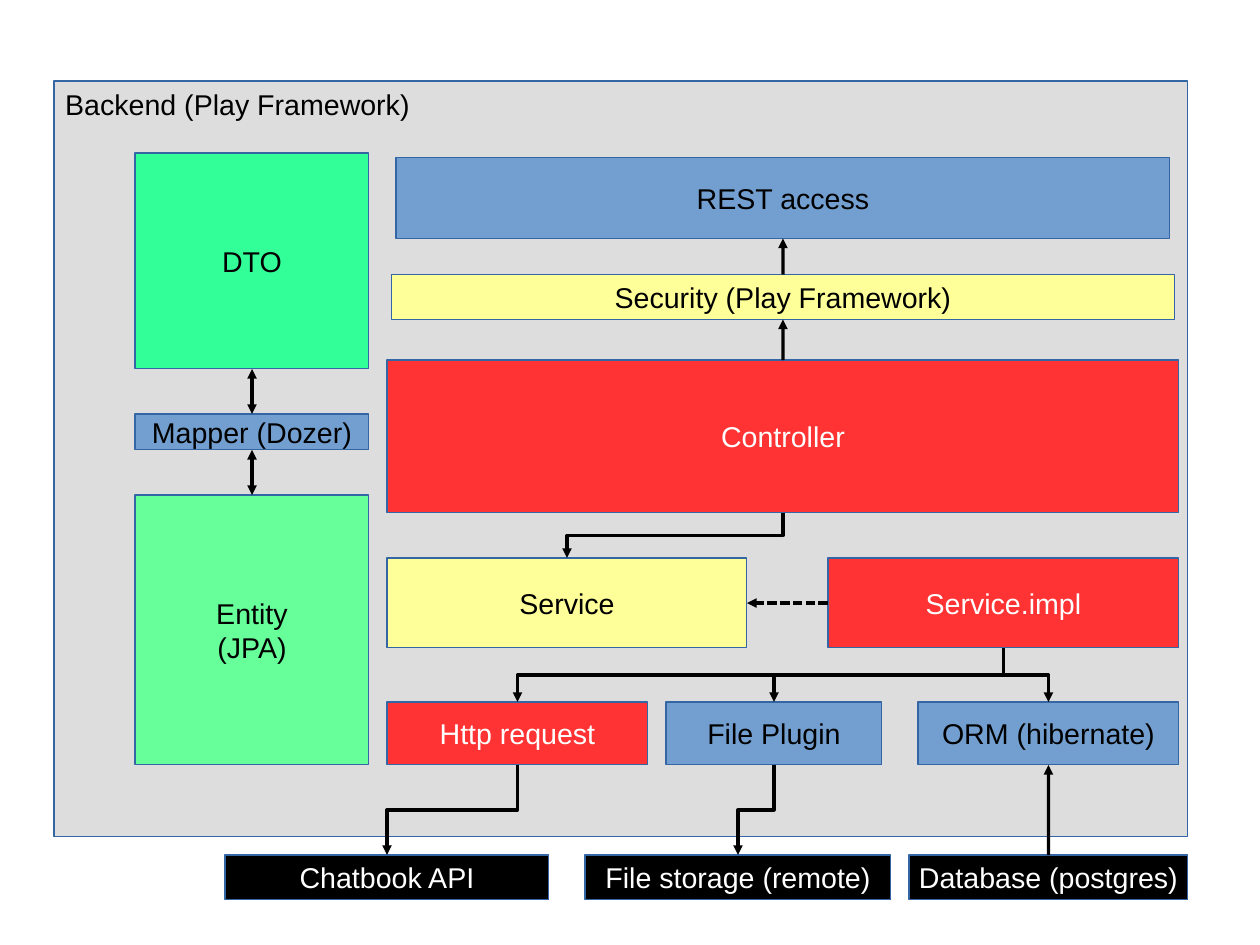
from dataclasses import dataclass

from lxml.etree import SubElement
from pptx import Presentation
from pptx.dml.color import RGBColor
from pptx.enum.dml import MSO_LINE
from pptx.enum.shapes import MSO_CONNECTOR, MSO_SHAPE
from pptx.enum.text import MSO_ANCHOR, PP_ALIGN
from pptx.oxml.ns import qn
from pptx.shapes.autoshape import Shape
from pptx.shapes.connector import Connector
from pptx.slide import Slide
from pptx.util import Cm, Pt

BLACK, WHITE, GRAY = "000000", "FFFFFF", "DDDDDD"
BLUE, RED, YELLOW = "729FCF", "FF3333", "FFFF99"
MINT, GREEN, BORDER = "33FF99", "66FF99", "3465A4"
TOP, LEFT, BOTTOM, RIGHT = range(4)


@dataclass
class Box:
    label: str
    left: float
    top: float
    width: float
    height: float
    fill: str
    text: str = BLACK
    is_frame: bool = False


@dataclass
class Arrow:
    source: str
    target: str
    start: int = BOTTOM
    end: int = TOP
    double: bool = False
    dashed: bool = False


BOXES = {
    "backend": Box("Backend (Play Framework)", 1.2, 1.8, 25.2, 16.8, GRAY, is_frame=True),
    "dto": Box("DTO", 3, 3.4, 5.2, 4.8, MINT),
    "mapper": Box("Mapper (Dozer)", 3, 9.2, 5.2, 0.8, BLUE),
    "entity": Box("Entity\n(JPA)", 3, 11, 5.2, 6, GREEN),
    "rest": Box("REST access", 8.8, 3.5, 17.2, 1.8, BLUE),
    "security": Box("Security (Play Framework)", 8.7, 6.1, 17.4, 1, YELLOW),
    "controller": Box("Controller", 8.6, 8, 17.6, 3.4, RED, WHITE),
    "service": Box("Service", 8.6, 12.4, 8, 2, YELLOW),
    "implementation": Box("Service.impl", 18.4, 12.4, 7.8, 2, RED, WHITE),
    "request": Box("Http request", 8.6, 15.6, 5.8, 1.4, RED, WHITE),
    "plugin": Box("File Plugin", 14.8, 15.6, 4.8, 1.4, BLUE),
    "orm": Box("ORM (hibernate)", 20.4, 15.6, 5.8, 1.4, BLUE),
    "social": Box("Chatbook API", 5, 19, 7.2, 1, BLACK, WHITE),
    "storage": Box("File storage (remote)", 13, 19, 6.8, 1, BLACK, WHITE),
    "database": Box("Database (postgres)", 20.2, 19, 6.2, 1, BLACK, WHITE),
}

ARROWS = [
    Arrow("entity", "mapper", TOP, BOTTOM, double=True),
    Arrow("mapper", "dto", TOP, BOTTOM, double=True),
    Arrow("security", "rest", TOP, BOTTOM),
    Arrow("controller", "security", TOP, BOTTOM),
    Arrow("controller", "service"),
    Arrow("implementation", "service", LEFT, RIGHT, dashed=True),
    Arrow("implementation", "request"),
    Arrow("implementation", "plugin"),
    Arrow("implementation", "orm"),
    Arrow("request", "social"),
    Arrow("plugin", "storage"),
    Arrow("database", "orm", TOP, BOTTOM),
]


def color(value: str) -> RGBColor:
    return RGBColor.from_string(value)


def draw_box(slide: Slide, box: Box) -> Shape:
    shape = slide.shapes.add_shape(
        MSO_SHAPE.RECTANGLE, Cm(box.left), Cm(box.top), Cm(box.width), Cm(box.height)
    )
    shape.shadow.inherit = False
    shape.fill.solid()
    shape.fill.fore_color.rgb = color(box.fill)
    shape.line.color.rgb = color(BORDER)
    shape.line.width = Pt(0)
    frame = shape.text_frame
    frame.text = box.label
    frame.word_wrap = False
    frame.vertical_anchor = MSO_ANCHOR.TOP if box.is_frame else MSO_ANCHOR.MIDDLE
    for paragraph in frame.paragraphs:
        paragraph.alignment = PP_ALIGN.LEFT if box.is_frame else PP_ALIGN.CENTER
        paragraph.font.name = "Arial"
        paragraph.font.size = Pt(18)
        paragraph.font.color.rgb = color(box.text)
    return shape


def turn_elbow_down(connector: Connector) -> None:
    across = connector.end_x - connector.begin_x
    width, height = connector.height, connector.width
    center_x = connector.left + connector.width // 2
    center_y = connector.top + connector.height // 2
    connector.left, connector.top = center_x - width // 2, center_y - height // 2
    connector.width, connector.height = width, height
    transform = connector.element.spPr.xfrm
    transform.flipH = across > 0
    transform.set("rot", "16200000" if across > 0 else "5400000")


def draw_arrow(slide: Slide, arrow: Arrow, shapes: dict[str, Shape]) -> None:
    connector = slide.shapes.add_connector(MSO_CONNECTOR.STRAIGHT, 0, 0, 0, 0)
    connector.begin_connect(shapes[arrow.source], arrow.start)
    connector.end_connect(shapes[arrow.target], arrow.end)
    properties = connector.element.spPr
    if arrow.start == BOTTOM:
        properties.find(qn("a:prstGeom")).set("prst", "bentConnector3")
        turn_elbow_down(connector)
    connector.line.color.rgb = color(BLACK)
    connector.line.width = Pt(0)
    if arrow.dashed:
        connector.line.dash_style = MSO_LINE.SQUARE_DOT
    line = properties.get_or_add_ln()
    for tag in ("a:headEnd", "a:tailEnd") if arrow.double else ("a:tailEnd",):
        SubElement(line, qn(tag), type="triangle")
    SubElement(properties, qn("a:effectLst"))


def main() -> None:
    presentation = Presentation()
    presentation.slide_width = Cm(28)
    presentation.slide_height = Cm(21)
    slide = presentation.slides.add_slide(presentation.slide_layouts[6])
    shapes = {name: draw_box(slide, box) for name, box in BOXES.items()}
    for arrow in ARROWS:
        draw_arrow(slide, arrow, shapes)
    presentation.save("out.pptx")


if __name__ == "__main__":
    main()
